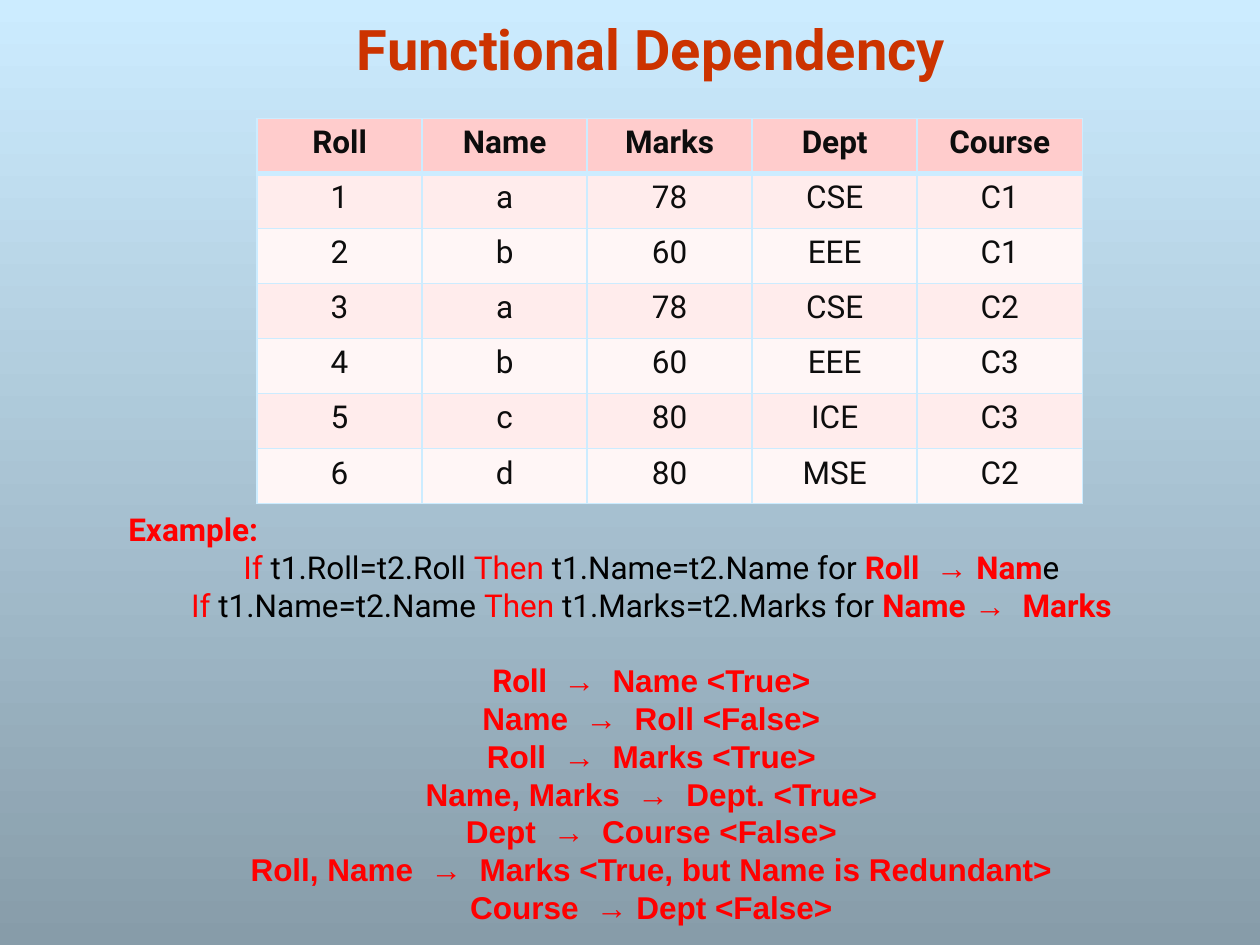
from lxml.etree import SubElement
from pptx import Presentation
from pptx.dml.color import RGBColor
from pptx.enum.text import MSO_ANCHOR as Anchor, MSO_AUTO_SIZE as AutoSize, PP_ALIGN as Align
from pptx.oxml.ns import qn
from pptx.util import Inches, Pt

SKY, SLATE = "CCECFF", "879CA9"
RED, BLACK = "FF0000", "000000"
HEADER, BANDS = "FFCCCC", ("FFECEC", "FFF6F6")

RECORDS = [
    ("Roll", "Name", "Marks", "Dept", "Course"),
    ("1", "a", "78", "CSE", "C1"),
    ("2", "b", "60", "EEE", "C1"),
    ("3", "a", "78", "CSE", "C2"),
    ("4", "b", "60", "EEE", "C3"),
    ("5", "c", "80", "ICE", "C3"),
    ("6", "d", "80", "MSE", "C2"),
]

DEPENDENCIES = [
    "Name  →  Roll <False>",
    "Roll  →  Marks <True>",
    "Name, Marks  →  Dept. <True>",
    "Dept  →  Course <False>",
    "Roll, Name  →  Marks <True, but Name is Redundant>",
    "Course  → Dept <False>",
]


def color(value):
    return RGBColor.from_string(value)


def add_span(para, text, size=18, font="Roboto", ink=RED, bold=False):
    span = para.add_run()
    span.text = text
    span.font.size = Pt(size)
    span.font.name = font
    span.font.bold = bold
    span.font.color.rgb = color(ink)


def strong(text):
    return text, {"bold": True}


def arial(text):
    return text, {"bold": True, "font": "Arial"}


def rule(given, implied, *conclusion):
    return [
        ("If", {}),
        (f" {given} ", {"ink": BLACK}),
        ("Then", {}),
        (f" {implied} for ", {"ink": BLACK}),
        *conclusion,
    ]


class SlideBuilder:
    def __init__(self, deck):
        self.page = deck.slides.add_slide(deck.slide_layouts[6])

    def background(self, top, bottom):
        fill = self.page.background.fill
        fill.gradient()
        fill.gradient_angle = 270
        for stop, value in zip(fill.gradient_stops, (top, bottom)):
            stop.color.rgb = color(value)

    def text(self, left, top, width, height, lines, anchor=Anchor.TOP, grow=False):
        box = self.page.shapes.add_textbox(Inches(left), Inches(top), Inches(width), Inches(height))
        frame = box.text_frame
        frame.word_wrap = True
        frame.vertical_anchor = anchor
        frame.auto_size = AutoSize.SHAPE_TO_FIT_TEXT if grow else AutoSize.NONE
        for index, (align, before, spans) in enumerate(lines):
            para = frame.add_paragraph() if index else frame.paragraphs[0]
            para.alignment = align
            para.space_before = Pt(before)
            for text, style in spans:
                add_span(para, text, **style)

    def border(self, cell, side, width):
        line = SubElement(cell._tc.get_or_add_tcPr(), qn(f"a:ln{side}"), w=str(Pt(width)))
        SubElement(SubElement(line, qn("a:solidFill")), qn("a:srgbClr"), val=SKY)

    def table(self, left, top, column_width, row_height, records):
        rows, columns = len(records), len(records[0])
        frame = self.page.shapes.add_table(
            rows, columns, Inches(left), Inches(top),
            Inches(column_width * columns), Inches(row_height * rows))
        table = frame.table
        table.horz_banding = False
        for column in table.columns:
            column.width = Inches(column_width)
        for r, record in enumerate(records):
            table.rows[r].height = Inches(row_height)
            for c, value in enumerate(record):
                cell = table.cell(r, c)
                widths = {"L": 1, "R": 1, "T": 3 if r == 1 else 1, "B": 3 if r == 0 else 1}
                for side, width in widths.items():
                    self.border(cell, side, width)
                cell.fill.solid()
                cell.fill.fore_color.rgb = color(BANDS[(r - 1) % 2] if r else HEADER)
                para = cell.text_frame.paragraphs[0]
                para.alignment = Align.CENTER
                add_span(para, value, ink="0D0D0D", bold=r == 0)


def main():
    deck = Presentation()
    deck.slide_width, deck.slide_height = Inches(10), Inches(7.5)
    slide = SlideBuilder(deck)
    slide.background(SKY, SLATE)

    title = ("Functional Dependency", {"size": 32, "ink": "CC3300", "bold": True})
    slide.text(0.92, 0, 8.5, 0.7, [(Align.CENTER, 0, [title])], anchor=Anchor.BOTTOM)
    slide.table(2.04, 0.94, 1.31, 0.437, RECORDS)

    roll_rule = rule("t1.Roll=t2.Roll", "t1.Name=t2.Name",
                     strong("Roll "), arial(" → "), strong("Nam"), ("e", {"ink": BLACK}))
    name_rule = rule("t1.Name=t2.Name", "t1.Marks=t2.Marks",
                     strong("Name"), arial(" → "), strong(" Marks"))
    lines = [
        (Align.LEFT, 0, [strong("Example:")]),
        (Align.CENTER, 0, roll_rule),
        (Align.CENTER, 0, name_rule),
        (Align.CENTER, 21.5, [strong("Roll "), arial(" →  Name <True>")]),
    ]
    lines += [(Align.CENTER, 0, [arial(text)]) for text in DEPENDENCIES]
    slide.text(0.92, 4, 8.5, 3.43, lines, grow=True)

    deck.save("out.pptx")


if __name__ == "__main__":
    main()
